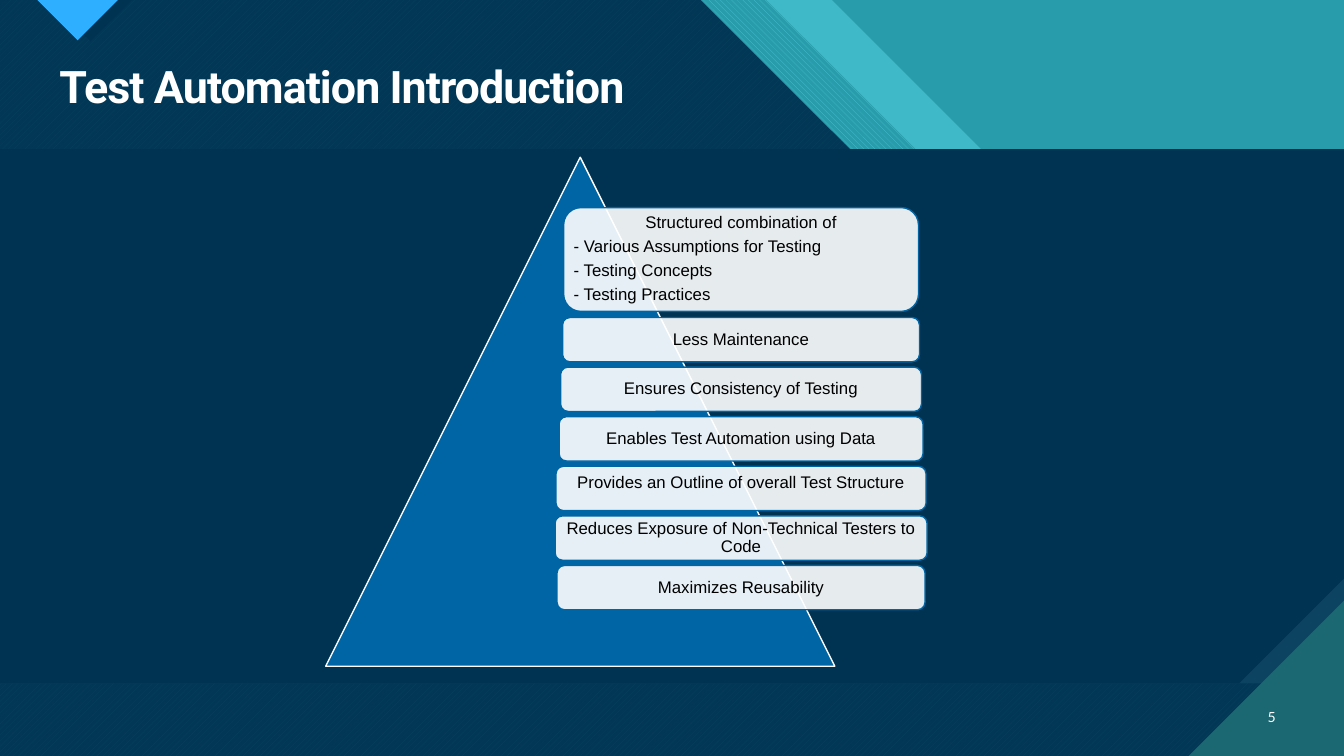
"""Build the Test Automation Introduction slide with its pyramid of benefits."""
from lxml import etree
from pptx import Presentation
from pptx.dml.color import RGBColor
from pptx.enum.dml import MSO_PATTERN
from pptx.enum.shapes import MSO_SHAPE
from pptx.enum.text import MSO_ANCHOR, PP_ALIGN
from pptx.oxml.ns import qn
from pptx.util import Inches, Pt

TRIANGLE, ROUNDED = MSO_SHAPE.ISOSCELES_TRIANGLE, MSO_SHAPE.ROUNDED_RECTANGLE
DOWN_HATCH = MSO_PATTERN.WIDE_DOWNWARD_DIAGONAL
UP_HATCH = MSO_PATTERN.WIDE_UPWARD_DIAGONAL
LEFT, CENTER, RIGHT, JUSTIFY = PP_ALIGN.LEFT, PP_ALIGN.CENTER, PP_ALIGN.RIGHT, PP_ALIGN.JUSTIFY
MIDDLE = MSO_ANCHOR.MIDDLE

TITLE = "Test Automation Introduction"
PAGE_NUMBER = "5"
OVERVIEW = [
    "Structured combination of",
    "- Various Assumptions for Testing",
    "- Testing Concepts",
    "- Testing Practices",
]
BENEFITS = [
    {"text": "Less Maintenance", "width": 3.54},
    {"text": "Ensures Consistency of Testing", "width": 3.58},
    {"text": "Enables Test Automation using Data", "width": 3.61},
    {"text": "Provides an Outline of overall Test Structure", "width": 3.67, "lift": 0.1},
    {"text": "Reduces Exposure of Non-Technical Testers to Code", "width": 3.69},
    {"text": "Maximizes Reusability", "width": 3.65},
]
THEME = {
    "teal": "299CAB", "aqua": "47C3D3", "deep_teal": "1B6872", "navy": "003352",
    "slate": "0C4360", "sky": "2FAFFF", "blue": "0065A4", "white": "FFFFFF", "black": "000000",
    "title_font": "Roboto", "card_font": "Arial", "number_font": "Lato",
    "title_size": 32, "card_size": 12, "number_size": 10,
}

WIDTH, HEIGHT = 13.33, 7.5
PANEL_TOP, PANEL_BOTTOM, PANEL_SNIP = 1.48, 6.78, 1.04
CORNER = 1.54
BAND_DEPTH, BAND_STEP = 2.97, 4.23
CARD_CENTER = 7.35
BENEFIT_TOP, BENEFIT_HEIGHT, BENEFIT_PITCH = 3.15, 0.44, 2.46 / 5

prs = Presentation()
prs.slide_width, prs.slide_height = Inches(WIDTH), Inches(HEIGHT)
slide = prs.slides.add_slide(prs.slide_layouts[6])


def color(name):
    return RGBColor.from_string(THEME[name])


def paint(shape, fill, line=None, opacity=100):
    shape.shadow.inherit = False
    shape.fill.solid()
    shape.fill.fore_color.rgb = color(fill)
    if opacity < 100:
        rgb = shape.fill._xPr.find(qn("a:solidFill"))[0]
        etree.SubElement(rgb, qn("a:alpha"), val=str(opacity * 1000))
    if line:
        shape.line.color.rgb = color(line)
        shape.line.width = Pt(1)
    else:
        shape.line.fill.background()


def outline(points, fill, opacity=100, hatch=None, hatch_back=None):
    builder = slide.shapes.build_freeform(*map(Inches, points[0]))
    builder.add_line_segments([(Inches(x), Inches(y)) for x, y in points[1:]])
    area = builder.convert_to_shape()
    paint(area, fill, opacity=opacity)
    if hatch:
        area.fill.patterned()
        area.fill.pattern = hatch
        area.fill.fore_color.rgb = color(fill)
        area.fill.back_color.rgb = color(hatch_back)


def band(edge):
    step_end = edge + BAND_STEP
    return [(0, 0), (edge, 0), (edge + BAND_DEPTH, BAND_DEPTH), (step_end, BAND_DEPTH),
            (WIDTH, BAND_DEPTH + WIDTH - step_end), (WIDTH, HEIGHT), (0, HEIGHT)]


def panel(snip):
    return [(0, PANEL_TOP), (WIDTH, PANEL_TOP), (WIDTH, PANEL_BOTTOM - snip),
            (WIDTH - snip, PANEL_BOTTOM), (0, PANEL_BOTTOM)]


def write(holder, lines, *, font, size, ink, aligns=(CENTER,), bold=False, spacing=None,
          tracking=None, after=0, inset=None, lift=0):
    frame = holder.text_frame
    frame.word_wrap = True
    frame.vertical_anchor = MIDDLE
    if inset is not None:
        frame.margin_left = frame.margin_right = frame.margin_top = Inches(inset)
        frame.margin_bottom = Inches(inset + lift)
    for index, line in enumerate(lines):
        paragraph = frame.add_paragraph() if index else frame.paragraphs[0]
        paragraph.alignment = aligns[min(index, len(aligns) - 1)]
        paragraph.space_after = Pt(after)
        if spacing:
            paragraph.line_spacing = spacing
        run = paragraph.add_run()
        run.text = line
        run.font.name, run.font.size, run.font.bold = font, Pt(size), bold
        run.font.color.rgb = color(ink)
        if tracking:
            run.font._element.set("spc", str(int(tracking * 100)))


def box(left, top, width, height):
    return slide.shapes.add_textbox(*map(Inches, (left, top, width, height)))


def card(lines, top, width, height, aligns=(CENTER,), lift=0):
    left = CARD_CENTER - width / 2
    holder = slide.shapes.add_shape(ROUNDED, *map(Inches, (left, top, width, height)))
    paint(holder, "white", line="blue", opacity=90)
    write(holder, lines, font=THEME["card_font"], size=THEME["card_size"], ink="black",
          aligns=aligns, spacing=0.9, after=4.2, inset=0.05, lift=lift)


slide.background.fill.solid()
slide.background.fill.fore_color.rgb = color("teal")
outline(band(8.25), "aqua", opacity=74)
outline(band(7.6), "aqua", hatch=DOWN_HATCH, hatch_back="teal")
outline(band(6.95), "aqua", hatch=UP_HATCH, hatch_back="deep_teal")
outline(band(6.95), "navy", opacity=90)
outline([(0.48, 0), (0.9, 0.41), (1.31, 0)], "navy")
outline([(0.37, 0), (0.77, 0.4), (1.17, 0)], "sky")
outline(panel(0), "slate")
outline(panel(PANEL_SNIP), "navy")
outline([(WIDTH - CORNER, HEIGHT), (WIDTH, HEIGHT), (WIDTH, HEIGHT - CORNER)], "deep_teal")

write(box(0.49, 0.59, 12.26, 0.59), [TITLE], font=THEME["title_font"], size=THEME["title_size"],
      ink="white", aligns=(LEFT,), bold=True, spacing=0.9, tracking=-0.7)
write(box(12.31, 6.91, 0.44, 0.4), [PAGE_NUMBER], font=THEME["number_font"],
      size=THEME["number_size"], ink="white", aligns=(RIGHT,), after=6)

pyramid = slide.shapes.add_shape(TRIANGLE, *map(Inches, (3.23, 1.56, 5.05, 5.05)))
paint(pyramid, "blue", line="white")
card(OVERVIEW, 2.06, 3.52, 1.03, aligns=(CENTER, JUSTIFY))
for row, benefit in enumerate(BENEFITS):
    card([benefit["text"]], BENEFIT_TOP + row * BENEFIT_PITCH, benefit["width"],
         BENEFIT_HEIGHT, lift=benefit.get("lift", 0))

prs.save("out.pptx")
